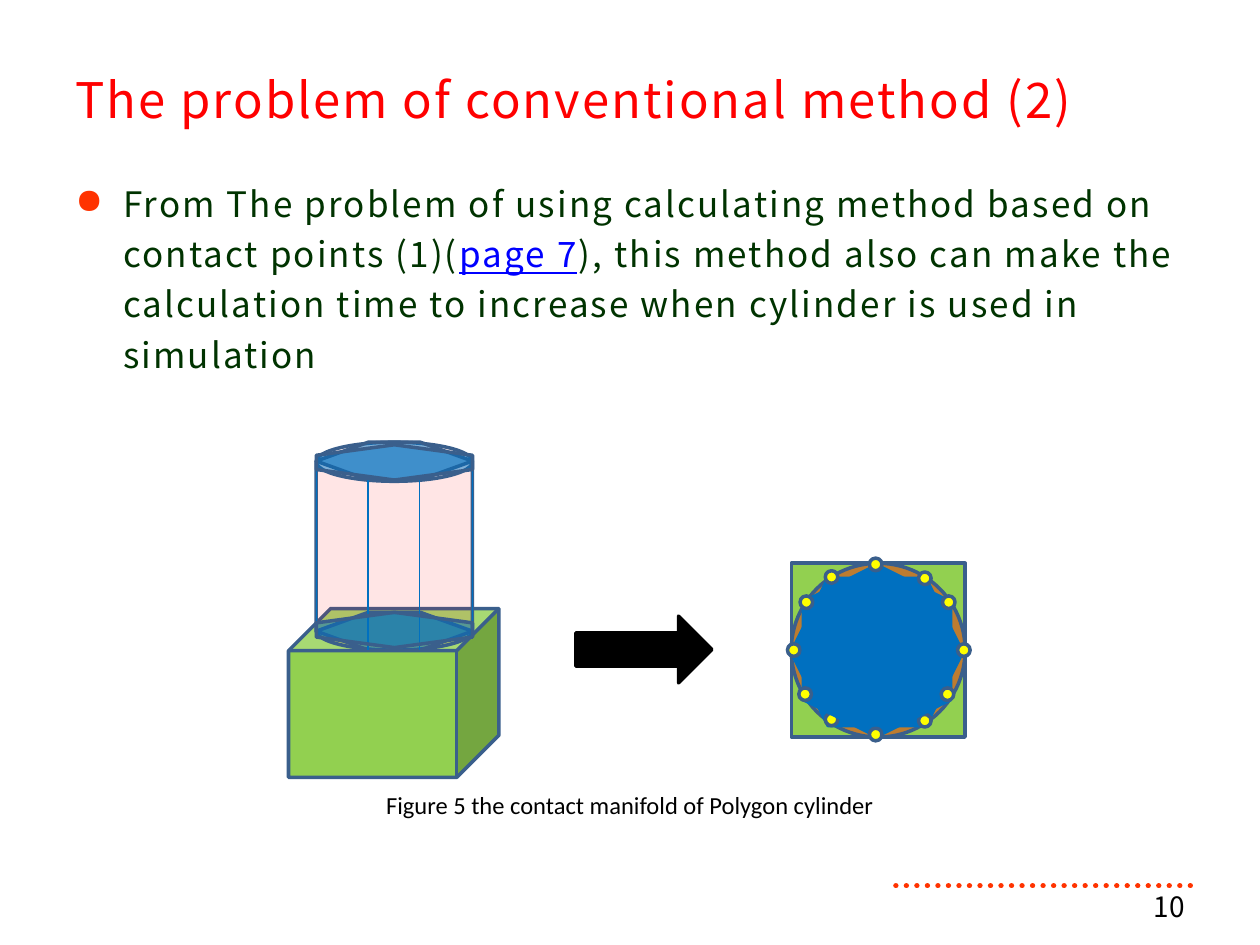
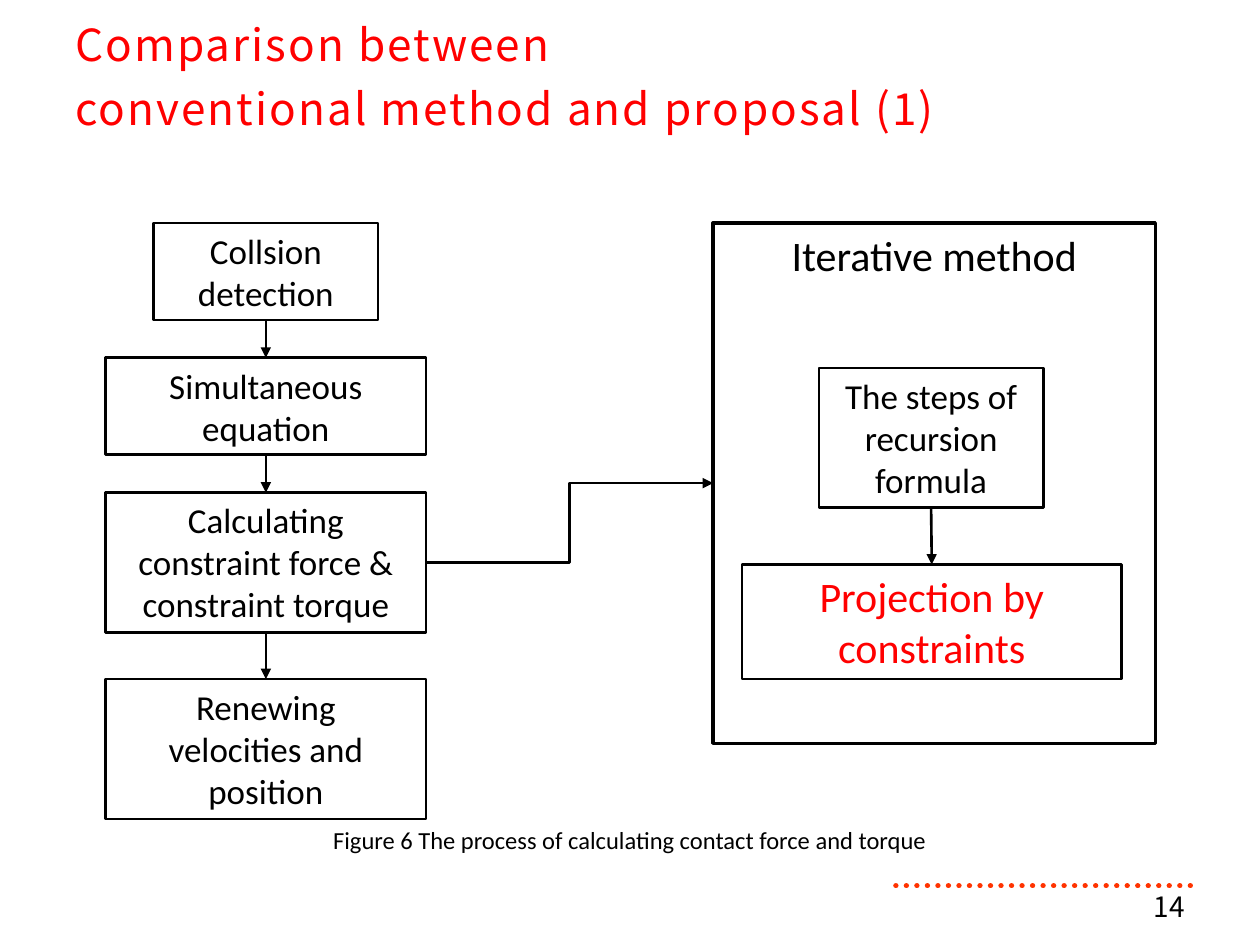
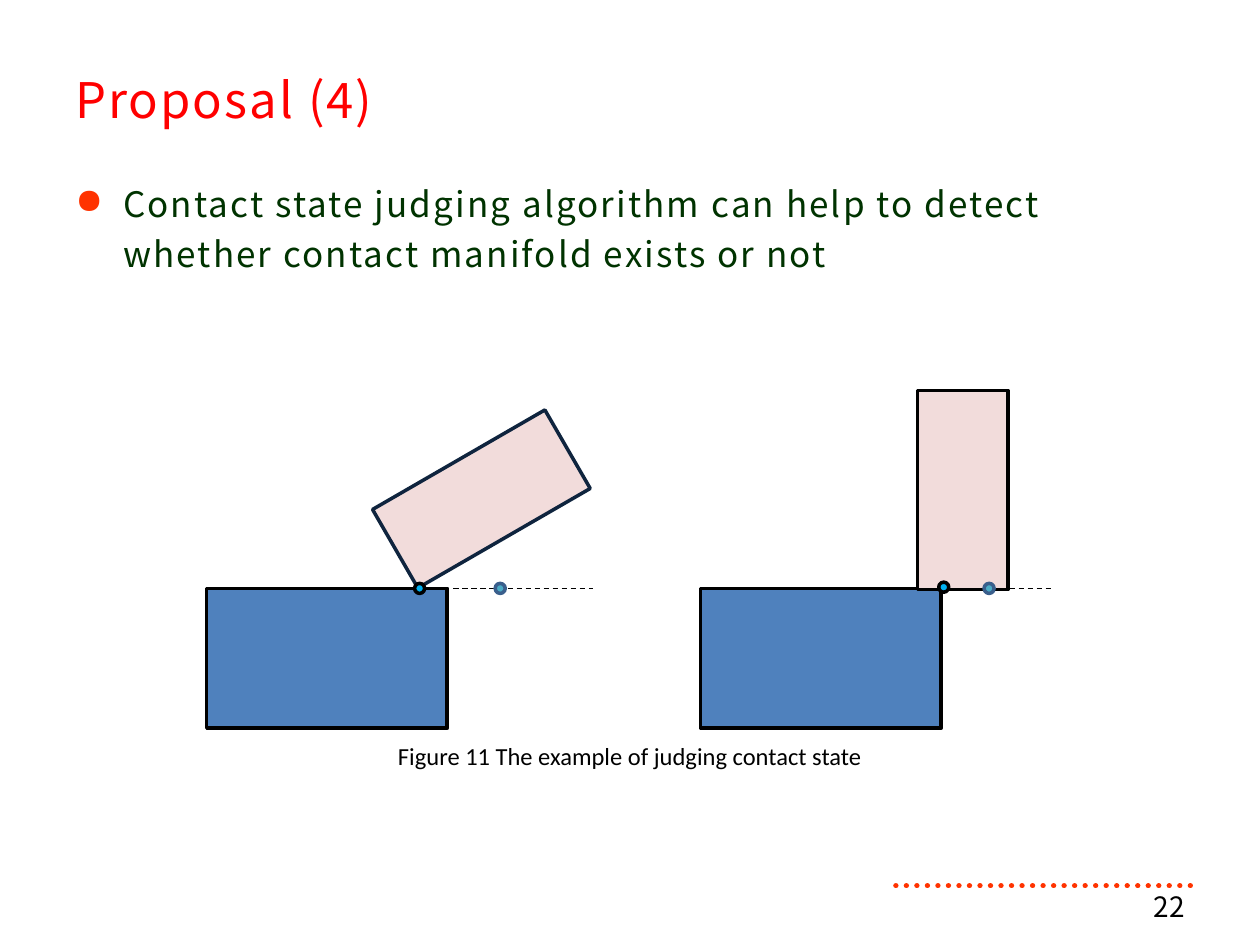
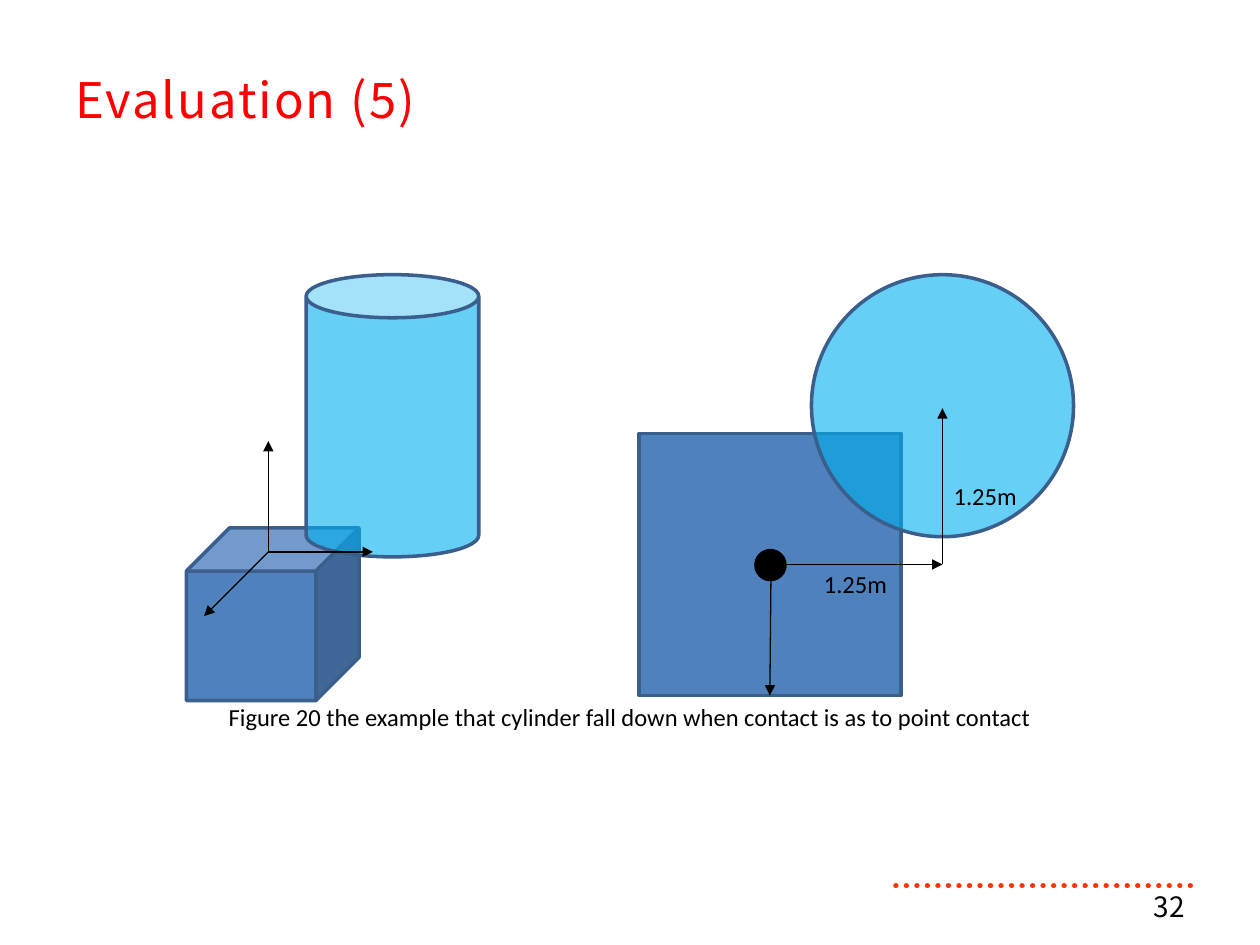
from lxml import etree
from pptx import Presentation
from pptx.dml.color import RGBColor
from pptx.enum.dml import MSO_LINE
from pptx.enum.shapes import MSO_CONNECTOR, MSO_SHAPE
from pptx.enum.text import MSO_ANCHOR, PP_ALIGN, MSO_UNDERLINE
from pptx.oxml.ns import qn
from pptx.util import Inches, Pt

color = RGBColor.from_string
BLACK, RED, ORANGE, GREEN_TEXT, LINK = "000000", "FF0000", "FF3300", "003300", "0000FF"
OUTLINE, BLUE, SKY, DEEP_BLUE = "3A5F8C", "4F81BD", "00B0F0", "0070C0"
LIME, YELLOW, PINK, TEAL, NAVY = "92D050", "FFFF00", "F2DCDB", "4BACC6", "0F243E"
HEADING_FONT, FIGURE_FONT = "Noto Sans CJK JP", "Calibri"


def place(slide, kind, box, fill=None, line=None, width=2, alpha=None, rotation=0,
          text=(), size=14, font=FIGURE_FONT, ink=BLACK, align=PP_ALIGN.CENTER,
          anchor=MSO_ANCHOR.TOP):
    """Add a preset shape, or a text box when kind is None."""
    area = [Inches(length) for length in box]
    if kind is None:
        shape = slide.shapes.add_textbox(*area)
    else:
        shape = slide.shapes.add_shape(kind, *area)
        shape.shadow.inherit = False
        shape.rotation = rotation
        shape.line.color.rgb = color(line)
        shape.line.width = Pt(width)
        if fill:
            shape.fill.solid()
            shape.fill.fore_color.rgb = color(fill)
        else:
            shape.fill.background()
        if alpha:
            paint = shape.element.spPr.find(qn("a:solidFill"))[0]
            etree.SubElement(paint, qn("a:alpha")).set("val", str(alpha * 1000))
    frame = shape.text_frame
    frame.word_wrap = True
    frame.vertical_anchor = anchor
    for i, words in enumerate(text):
        paragraph = frame.add_paragraph() if i else frame.paragraphs[0]
        paragraph.alignment = align
        run = paragraph.add_run()
        run.text = words
        run.font.size, run.font.name = Pt(size), font
        run.font.color.rgb = color(ink)
    return shape


def connect(slide, start, end, ink=BLACK, width=0.75, dash=None, arrow=False,
            kind=MSO_CONNECTOR.STRAIGHT, begin=None, finish=None):
    """Draw a line; begin and finish are (shape, side) to join."""
    line = slide.shapes.add_connector(kind, *[Inches(length) for length in (*start, *end)])
    if begin:
        line.begin_connect(*begin)
    if finish:
        line.end_connect(*finish)
    line.line.color.rgb = color(ink)
    line.line.width = Pt(width)
    if dash:
        line.line.dash_style = dash
    properties = line.element.spPr
    if arrow:
        etree.SubElement(properties.find(qn("a:ln")), qn("a:tailEnd")).set("type", "triangle")
    etree.SubElement(properties, qn("a:effectLst"))
    return line


deck = Presentation()
deck.slide_width, deck.slide_height = Inches(10), Inches(7.5)

# Title, page number, footer rule, caption and bullet of every slide
pages = [
    (["The problem of conventional method (2)"], 28, 0.31, "10",
     "Figure 5 the contact manifold of Polygon cylinder", 6.22,
     [("From The problem of using calculating method based on contact points (1)(", GREEN_TEXT),
      ("page 7", LINK),
      ("), this method also can make the calculation time to increase when cylinder "
       "is used in simulation", GREEN_TEXT)], 1.85),
    (["Comparison between ", "conventional method and proposal (1)"], 25.2, 0.13, "14",
     "Figure 6 The process of calculating contact force and torque", 6.5, [], 0),
    (["Proposal (4)"], 28, 0.31, "22",
     "Figure 11 The example of judging contact state", 5.83,
     [("Contact state judging algorithm can help to detect whether contact manifold "
       "exists or not", GREEN_TEXT)], 5.55),
    (["Evaluation (5)"], 28, 0.31, "32",
     "Figure 20 the example that cylinder fall down when contact is as to point contact",
     5.52, [], 0),
]
slides = []
for title_lines, title_size, title_top, number, caption, caption_top, bullet, bullet_height in pages:
    slide = deck.slides.add_slide(deck.slide_layouts[6])
    slides.append(slide)
    rule = connect(slide, (7.11, 7.03), (9.53, 7.03), ORANGE, 3, MSO_LINE.ROUND_DOT)
    rule.element.spPr.find(qn("a:ln")).set("cap", "rnd")

    title = place(slide, None, (0.5, title_top, 9, 0.86), anchor=MSO_ANCHOR.MIDDLE)
    heading = title.text_frame.paragraphs[0]
    heading.line_spacing = 1.2
    for i, words in enumerate(title_lines):
        if i:
            heading.add_line_break()
        run = heading.add_run()
        run.text = words
        run.font.size, run.font.name = Pt(title_size), HEADING_FONT
        run.font.color.rgb = color(RED)
        run.font._element.set("spc", "120")

    if bullet:
        body = place(slide, None, (0.5, 1.33, 9, bullet_height))
        point = body.text_frame.paragraphs[0]
        point.line_spacing, point.space_before = 1.2, Pt(4)
        for words, ink in bullet:
            run = point.add_run()
            run.text = words
            run.font.size, run.font.name = Pt(20), HEADING_FONT
            run.font.color.rgb = color(ink)
            if ink == LINK:
                run.font.underline = MSO_UNDERLINE.SINGLE_LINE
            run.font._element.set("spc", "120")
        layout = point._p.get_or_add_pPr()
        layout.set("marL", str(Inches(0.38)))
        layout.set("indent", str(-Inches(0.38)))
        bullet_color = etree.SubElement(layout, qn("a:buClr"))
        etree.SubElement(bullet_color, qn("a:srgbClr")).set("val", ORANGE)
        etree.SubElement(layout, qn("a:buChar")).set("char", "●")

    place(slide, None, (7.17, 7.03, 2.33, 0.32), text=[number], size=16, font=HEADING_FONT,
          align=PP_ALIGN.RIGHT, anchor=MSO_ANCHOR.MIDDLE)
    place(slide, None, (1.5, caption_top, 7, 0.34), text=[caption])

manifold, comparison, proposal, evaluation = slides

# Slide 1: polygon cylinder on a block, seen from the side and from above
top_view = (6.28, 4.47, 1.38, 1.38)
place(manifold, MSO_SHAPE.CUBE, (2.29, 4.83, 1.67, 1.34), LIME, OUTLINE)
place(manifold, MSO_SHAPE.RIGHT_ARROW, (4.57, 4.89, 1.08, 0.53), BLACK, BLACK)
place(manifold, MSO_SHAPE.RECTANGLE, top_view, LIME, OUTLINE)
place(manifold, MSO_SHAPE.OVAL, top_view, RED, OUTLINE, alpha=40)
place(manifold, MSO_SHAPE.CAN, (2.51, 3.51, 1.24, 1.65), RED, OUTLINE, alpha=10)
for top in (3.51, 4.86):
    cap = place(manifold, MSO_SHAPE.HEXAGON, (2.51, top, 1.24, 0.3), DEEP_BLUE, OUTLINE, alpha=50)
    cap.adjustments[0] = 1.381
for x, top in ((2.51, 3.66), (2.92, 3.81), (3.33, 3.81), (3.75, 3.66)):
    connect(manifold, (x, top), (x, top + 1.35), DEEP_BLUE)

# Contact points lie on the corners of two crossed hexagons
contact_layers = [
    (0, 4.59, [(7.29, 5.67), (7.6, 5.11), (7.29, 4.54), (6.55, 5.66), (6.25, 5.11), (6.55, 4.53)]),
    (90, 4.58, [(6.34, 5.46), (6.9, 5.78), (7.47, 5.46), (6.35, 4.73), (6.9, 4.43), (7.48, 4.73)]),
]
for turn, top, contacts in contact_layers:
    place(manifold, MSO_SHAPE.HEXAGON, (6.28, top, 1.36, 1.17), DEEP_BLUE, DEEP_BLUE, rotation=turn)
    for x, y in contacts:
        place(manifold, MSO_SHAPE.OVAL, (x, y, 0.1, 0.1), YELLOW, OUTLINE)
for top in (3.05, 4.38):
    cap = place(manifold, MSO_SHAPE.HEXAGON, (2.99, top, 0.28, 1.24), DEEP_BLUE, OUTLINE,
                alpha=50, rotation=90)
    cap.adjustments[0] = 0.299

# Slide 2: calculation steps and the iterative method
panel = place(comparison, MSO_SHAPE.RECTANGLE, (5.66, 1.77, 3.51, 4.13), None, BLACK)
place(comparison, None, (5.66, 1.77, 3.51, 0.5), text=["Iterative method"], size=24)
flows = [
    [((1.22, 1.77, 1.78, 0.77), ["Collsion detection"], 20, BLACK),
     ((0.84, 2.84, 2.54, 0.77), ["Simultaneous equation"], 20, BLACK),
     ((0.84, 3.91, 2.54, 1.11), ["Calculating", "constraint force &", "constraint torque"],
      20, BLACK),
     ((0.84, 5.39, 2.54, 1.11), ["Renewing", "velocities and position"], 20, BLACK)],
    [((6.5, 2.92, 1.78, 1.11), ["The steps of", "recursion formula"], 20, BLACK),
     ((5.89, 4.48, 3.01, 0.91), ["Projection by constraints"], 24, RED)],
]
steps = []
for flow in flows:
    previous = None
    for box, words, size, ink in flow:
        step = place(comparison, MSO_SHAPE.RECTANGLE, box, None, BLACK, 1.5,
                     text=words, size=size, ink=ink)
        if previous:
            connect(comparison, (0, 0), (0, 0), width=1.5, arrow=True,
                    begin=(previous, 2), finish=(step, 0))
        previous = step
        steps.append(step)
connect(comparison, (3.38, 4.47), (5.66, 3.83), width=1.5, arrow=True,
        kind=MSO_CONNECTOR.ELBOW, begin=(steps[2], 3), finish=(panel, 1))

# Slide 3: tilted and upright boxes at the edge of a block
place(proposal, MSO_SHAPE.RECTANGLE, (5.56, 4.67, 1.91, 1.11), BLUE, BLACK)
place(proposal, MSO_SHAPE.RECTANGLE, (6.85, 3.53, 1.58, 0.72), PINK, BLACK, rotation=90)
place(proposal, MSO_SHAPE.RECTANGLE, (3.03, 3.6, 1.58, 0.72), PINK, NAVY, rotation=150)
left_block = place(proposal, MSO_SHAPE.RECTANGLE, (1.64, 4.67, 1.91, 1.11), BLUE, BLACK)
connect(proposal, (2.59, 4.67), (4.71, 4.67), dash=MSO_LINE.DASH, begin=(left_block, 0))
connect(proposal, (6.58, 4.67), (8.36, 4.67), dash=MSO_LINE.DASH)
for x, y, fill, edge in ((3.93, 4.63, TEAL, OUTLINE), (7.81, 4.63, TEAL, OUTLINE),
                         (3.29, 4.63, SKY, BLACK), (7.45, 4.62, SKY, BLACK)):
    place(proposal, MSO_SHAPE.OVAL, (x, y, 0.08, 0.08), fill, edge)

# Slide 4: cylinder over the corner of a cube, in perspective and from above
square = place(evaluation, MSO_SHAPE.RECTANGLE, (5.07, 3.44, 2.08, 2.08), BLUE, OUTLINE)
place(evaluation, MSO_SHAPE.OVAL, (6.44, 2.18, 2.08, 2.08), SKY, OUTLINE, alpha=60)
place(evaluation, MSO_SHAPE.CUBE, (1.48, 4.19, 1.37, 1.37), BLUE, OUTLINE)
place(evaluation, MSO_SHAPE.CAN, (2.43, 2.18, 1.37, 2.24), SKY, OUTLINE, alpha=60)
for axis_end in ((2.13, 3.5), (2.96, 4.38), (1.62, 4.89)):
    connect(evaluation, (2.13, 4.38), axis_end, arrow=True)
connect(evaluation, (6.12, 4.48), (7.48, 4.48), arrow=True)
connect(evaluation, (6.12, 4.48), (6.12, 5.52), arrow=True, finish=(square, 2))
connect(evaluation, (7.48, 4.48), (7.48, 3.24), arrow=True)
place(evaluation, MSO_SHAPE.OVAL, (6, 4.37, 0.23, 0.23), BLACK, BLACK)
for x, y in ((6.44, 4.47), (7.47, 3.77)):
    place(evaluation, None, (x, y, 0.78, 0.34), text=["1.25m"], align=PP_ALIGN.LEFT)

deck.save("out.pptx")
